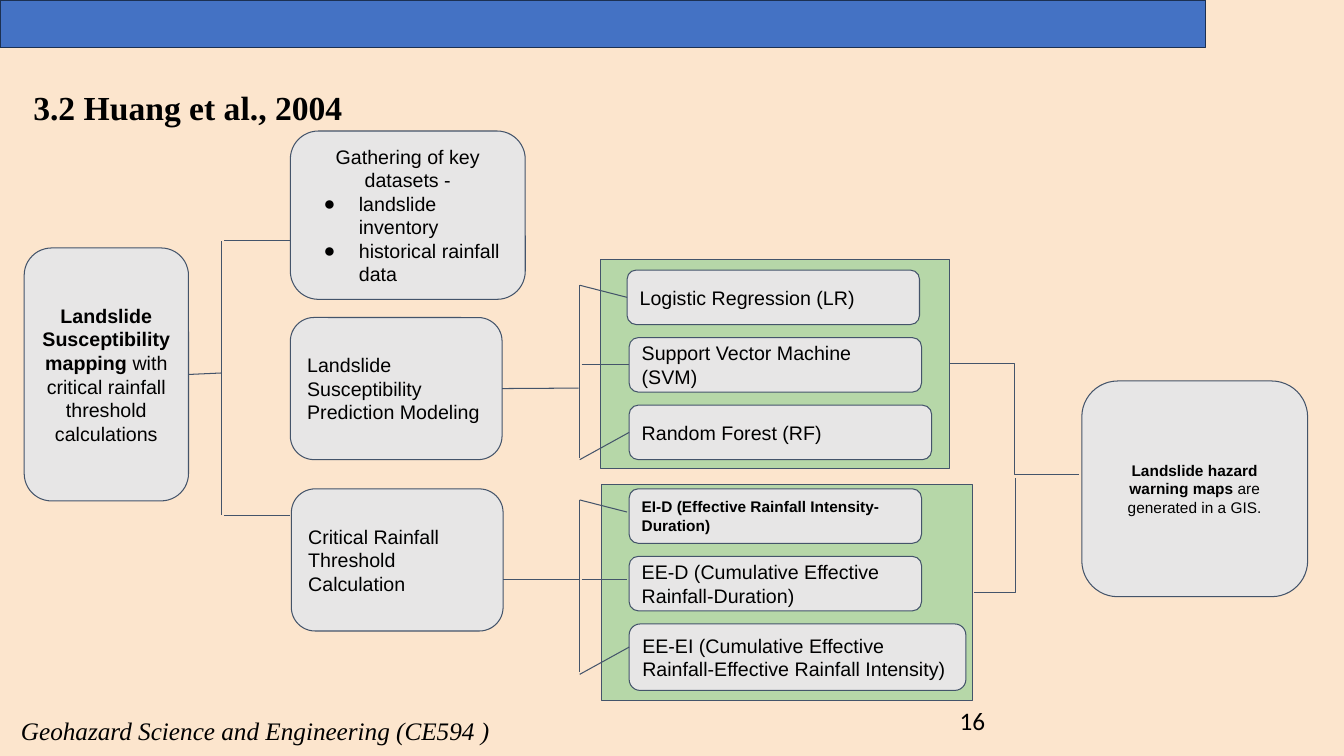
from dataclasses import dataclass

from lxml import etree
from pptx import Presentation
from pptx.dml.color import RGBColor
from pptx.enum.shapes import MSO_CONNECTOR, MSO_SHAPE
from pptx.enum.text import MSO_ANCHOR, MSO_AUTO_SIZE, PP_ALIGN
from pptx.oxml.ns import qn
from pptx.util import Emu, Pt

RECT, ROUND = MSO_SHAPE.RECTANGLE, MSO_SHAPE.ROUNDED_RECTANGLE
STRAIGHT, ELBOW = MSO_CONNECTOR.STRAIGHT, MSO_CONNECTOR.ELBOW
LEFT, CENTER = PP_ALIGN.LEFT, PP_ALIGN.CENTER
TOP, MIDDLE = MSO_ANCHOR.TOP, MSO_ANCHOR.MIDDLE
NO_FIT = MSO_AUTO_SIZE.NONE
SIDE_LEFT, SIDE_RIGHT = 1, 3
TITLE_ONLY = 5
EMU_PER_PX = 9144


@dataclass(frozen=True)
class Theme:
    background: str = "FCE5CD"
    bar: str = "4472C4"
    bar_line: str = "1C3052"
    panel: str = "B6D7A8"
    box: str = "E7E6E6"
    line: str = "44546A"
    text: str = "000000"
    serif: str = "Times New Roman"
    sans: str = "Arial"
    number: str = "Calibri"
    title_size: int = 24
    footer_size: int = 18
    body_size: int = 14
    small_size: int = 11


THEME = Theme()


def px(n):
    return Emu(n * EMU_PER_PX)


def rgb(color):
    return RGBColor.from_string(color)


def set_frame(tf, anchor, inset_x=10, inset_y=10):
    tf.word_wrap = True
    tf.auto_size = NO_FIT
    tf.vertical_anchor = anchor
    tf.margin_left = tf.margin_right = px(inset_x)
    tf.margin_top = tf.margin_bottom = px(inset_y)


def style_run(r, size, font, bold=False, italic=False):
    r.font.size = Pt(size)
    r.font.name = font
    r.font.bold = bold
    r.font.italic = italic
    r.font.color.rgb = rgb(THEME.text)


def add_bullet(p):
    pPr = p._p.get_or_add_pPr()
    pPr.set("marL", str(px(50)))
    pPr.set("indent", str(px(-35)))
    color = etree.SubElement(pPr, qn("a:buClr"))
    etree.SubElement(color, qn("a:srgbClr"), val=THEME.text)
    etree.SubElement(pPr, qn("a:buFont"), typeface=THEME.sans)
    etree.SubElement(pPr, qn("a:buChar"), char="●")


def add_rect(s, kind, x, y, w, h, fill, line=THEME.line, width=0.75):
    sp = s.shapes.add_shape(kind, px(x), px(y), px(w), px(h))
    sp.shadow.inherit = False
    sp.fill.solid()
    sp.fill.fore_color.rgb = rgb(fill)
    sp.line.color.rgb = rgb(line)
    sp.line.width = Pt(width)
    return sp


def add_box(s, x, y, w, h, text="", lead="", bullets=(), size=THEME.body_size, align=LEFT):
    sp = add_rect(s, ROUND, x, y, w, h, THEME.box)
    tf = sp.text_frame
    set_frame(tf, MIDDLE)
    p = tf.paragraphs[0]
    p.alignment = align
    for part, bold in ((lead, True), (text, False)):
        if part:
            r = p.add_run()
            r.text = part
            style_run(r, size, THEME.sans, bold)
    for item in bullets:
        p = tf.add_paragraph()
        add_bullet(p)
        p.text = item
        p.alignment = LEFT
        style_run(p.runs[0], size, THEME.sans)
    return sp


def add_label(s, x, y, w, h, text, font, italic=False):
    tf = s.shapes.add_textbox(px(x), px(y), px(w), px(h)).text_frame
    set_frame(tf, TOP, inset_y=5)
    tf.text = text
    style_run(tf.paragraphs[0].runs[0], THEME.footer_size, font, italic=italic)


def add_line(s, x1, y1, x2, y2, kind=STRAIGHT, begin=None, end=None):
    c = s.shapes.add_connector(kind, px(x1), px(y1), px(x2), px(y2))
    c.line.color.rgb = rgb(THEME.line)
    c.line.width = Pt(0.75)
    etree.SubElement(c._element.spPr, qn("a:effectLst"))
    if begin is not None:
        c.begin_connect(begin, SIDE_RIGHT)
    if end is not None:
        c.end_connect(end, SIDE_LEFT)
    return c


def set_title(s, text):
    sp = s.shapes.title
    sp.left, sp.top, sp.width, sp.height = px(23), px(76), px(461), px(54)
    tf = sp.text_frame
    set_frame(tf, TOP)
    tf.text = text
    tf.paragraphs[0].alignment = LEFT
    style_run(tf.paragraphs[0].runs[0], THEME.title_size, THEME.serif, bold=True)


def add_fan(s, top, targets):
    add_line(s, 575, top, 575, top + 171)
    add_line(s, 575, top, 622, top + 12, end=targets[0])
    add_line(s, 577, top + 79, 622, top + 79, end=targets[1])
    add_line(s, 575, top + 173, 624, top + 146, end=targets[2])


def main():
    prs = Presentation()
    prs.slide_width, prs.slide_height = px(1333), px(750)
    s = prs.slides.add_slide(prs.slide_layouts[TITLE_ONLY])
    s.background.fill.solid()
    s.background.fill.fore_color.rgb = rgb(THEME.background)

    add_rect(s, RECT, 0, 0, 1196, 47, THEME.bar, THEME.bar_line, 1)
    add_label(s, 11, 705, 496, 40, "Geohazard Science and Engineering (CE594 )", THEME.serif, italic=True)
    add_rect(s, RECT, 597, 481, 368, 214, THEME.panel)
    add_rect(s, RECT, 596, 257, 346, 208, THEME.panel)
    add_label(s, 942, 695, 300, 40, "16", THEME.number)
    set_title(s, "3.2 Huang et al., 2004")

    mapping = add_box(s, 24, 246, 163, 251, " with critical rainfall threshold calculations",
                      lead="Landslide Susceptibility mapping", align=CENTER)
    add_box(s, 288, 130, 233, 167, "Gathering of key datasets -",
            bullets=("landslide inventory", "historical rainfall data"), align=CENTER)
    modeling = add_box(s, 288, 315, 210, 141, "Landslide Susceptibility Prediction Modeling")
    add_box(s, 289, 485, 210, 141, "Critical Rainfall Threshold Calculation")

    add_box(s, 624, 485, 290, 54, lead="EI-D (Effective Rainfall Intensity-Duration)",
            size=THEME.small_size)
    add_box(s, 624, 552, 290, 54, "EE-D (Cumulative Effective Rainfall-Duration)")
    add_box(s, 624, 619, 334, 66, "EE-EI (Cumulative Effective Rainfall-Effective Rainfall Intensity)")
    models = [add_box(s, x, 268 + 67 * i, w, 54, text) for i, (x, w, text) in enumerate((
        (622, 290, "Logistic Regression (LR)"),
        (624, 290, "Support Vector Machine (SVM)"),
        (624, 300, "Random Forest (RF)"),
    ))]

    add_line(s, 187, 371, 220, 370, begin=mapping)
    add_line(s, 220, 239, 220, 511)
    for y in (239, 511):
        add_line(s, 222, y, 288, y)
    add_line(s, 498, 385, 574, 385, begin=modeling)
    add_line(s, 499, 575, 575, 575)
    add_fan(s, 283, models)
    add_fan(s, 496, (None, None, None))

    add_line(s, 942, 361, 1070, 471, ELBOW)
    corner = add_line(s, 966, 588, 1007, 474, ELBOW)
    corner._element.spPr.find(qn("a:prstGeom")).set("prst", "bentConnector2")
    add_box(s, 1073, 378, 224, 214, " are generated in a GIS.",
            lead="Landslide hazard warning maps", size=THEME.small_size, align=CENTER)
    prs.save("out.pptx")


if __name__ == "__main__":
    main()
